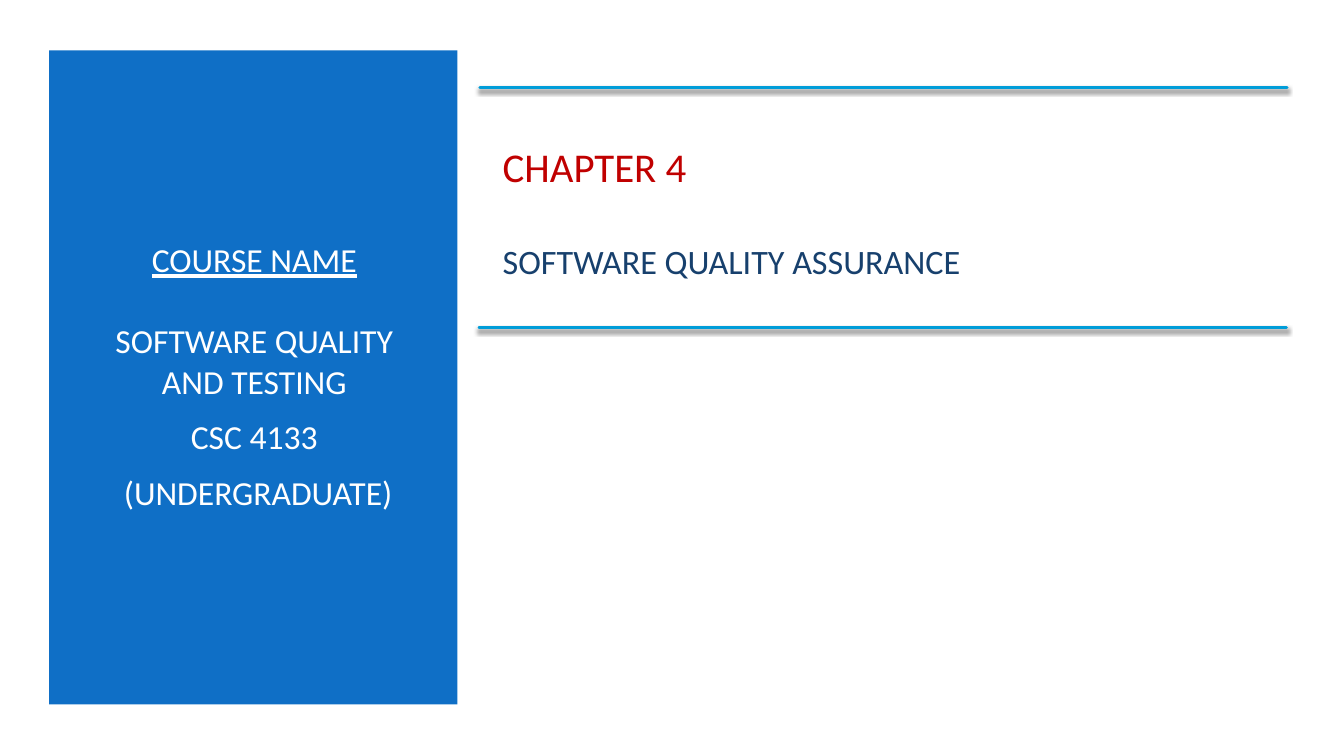
from lxml import etree
from pptx import Presentation
from pptx.dml.color import RGBColor
from pptx.enum.shapes import MSO_CONNECTOR, MSO_SHAPE
from pptx.enum.text import MSO_ANCHOR, PP_ALIGN
from pptx.oxml import parse_xml
from pptx.util import Cm, Pt

RECTANGLE = MSO_SHAPE.RECTANGLE
STRAIGHT = MSO_CONNECTOR.STRAIGHT
MIDDLE = MSO_ANCHOR.MIDDLE
CENTER, LEFT = PP_ALIGN.CENTER, PP_ALIGN.LEFT

WHITE = RGBColor(0xFF, 0xFF, 0xFF)
BLUE = RGBColor(0x0F, 0x6F, 0xC6)
CYAN = RGBColor(0x00, 0x9D, 0xD9)
RED = RGBColor(0xC0, 0x00, 0x00)
NAVY = RGBColor(0x17, 0x40, 0x6D)

RULE_SHADOW = """
<a:effectLst xmlns:a="http://schemas.openxmlformats.org/drawingml/2006/main">
  <a:outerShdw blurRad="38100" dist="25400" dir="5400000" rotWithShape="0">
    <a:srgbClr val="000000"><a:alpha val="55000"/></a:srgbClr>
  </a:outerShdw>
</a:effectLst>"""

prs = Presentation()
prs.slide_width, prs.slide_height = Cm(33.87), Cm(19.05)
s = prs.slides.add_slide(prs.slide_layouts[6])

# Background and course panel
for left, top, width, height, color in [
    (0, 0, 33.87, 19.05, WHITE),
    (1.24, 1.27, 10.29, 16.48, BLUE),
]:
    sp = s.shapes.add_shape(RECTANGLE, Cm(left), Cm(top), Cm(width), Cm(height))
    sp.shadow.inherit = False
    sp.fill.solid()
    sp.fill.fore_color.rgb = color
    sp.line.fill.background()

# Text blocks; each line: text, size, colour, underline, space before, space after
course = [
    ("COURSE NAME", 24, WHITE, True, 4.8, 24.5),
    ("SOFTWARE QUALITY AND TESTING", 24, WHITE, False, 4.8, 6),
    ("CSC 4133", 24, WHITE, False, 4.8, 6),
    (" (UNDERGRADUATE)", 24, WHITE, False, 4.8, 6),
]
chapter = [
    ("CHAPTER 4", 29.2, RED, False, 0, 35.6),
    ("SOFTWARE QUALITY ASSURANCE", 24.4, NAVY, False, 0, 0),
]
for left, width, height, align, lines in [
    (2.13, 8.56, 13.34, CENTER, course),
    (12.42, 19.94, 5.08, LEFT, chapter),
]:
    sp = s.shapes.add_textbox(Cm(left), Cm(2.79), Cm(width), Cm(height))
    tf = sp.text_frame
    tf.word_wrap = True
    tf.vertical_anchor = MIDDLE
    for i, (text, size, color, underline, before, after) in enumerate(lines):
        p = tf.add_paragraph() if i else tf.paragraphs[0]
        p.text = text
        p.alignment = align
        p.space_before, p.space_after = Pt(before), Pt(after)
        p.font.name = "Calibri"
        p.font.size = Pt(size)
        p.font.color.rgb = color
        p.font.underline = underline

# Rules above and below the chapter title
for left, top in [(12.09, 2.21), (12.07, 8.26)]:
    rule = s.shapes.add_connector(
        STRAIGHT, Cm(left), Cm(top), Cm(left + 20.35), Cm(top))
    rule.line.color.rgb = CYAN
    rule.line.width = Pt(2)
    rule.line._get_or_add_ln().set("cap", "rnd")
    rule._element.spPr.append(parse_xml(etree.tostring(etree.XML(RULE_SHADOW))))

prs.save("out.pptx")
